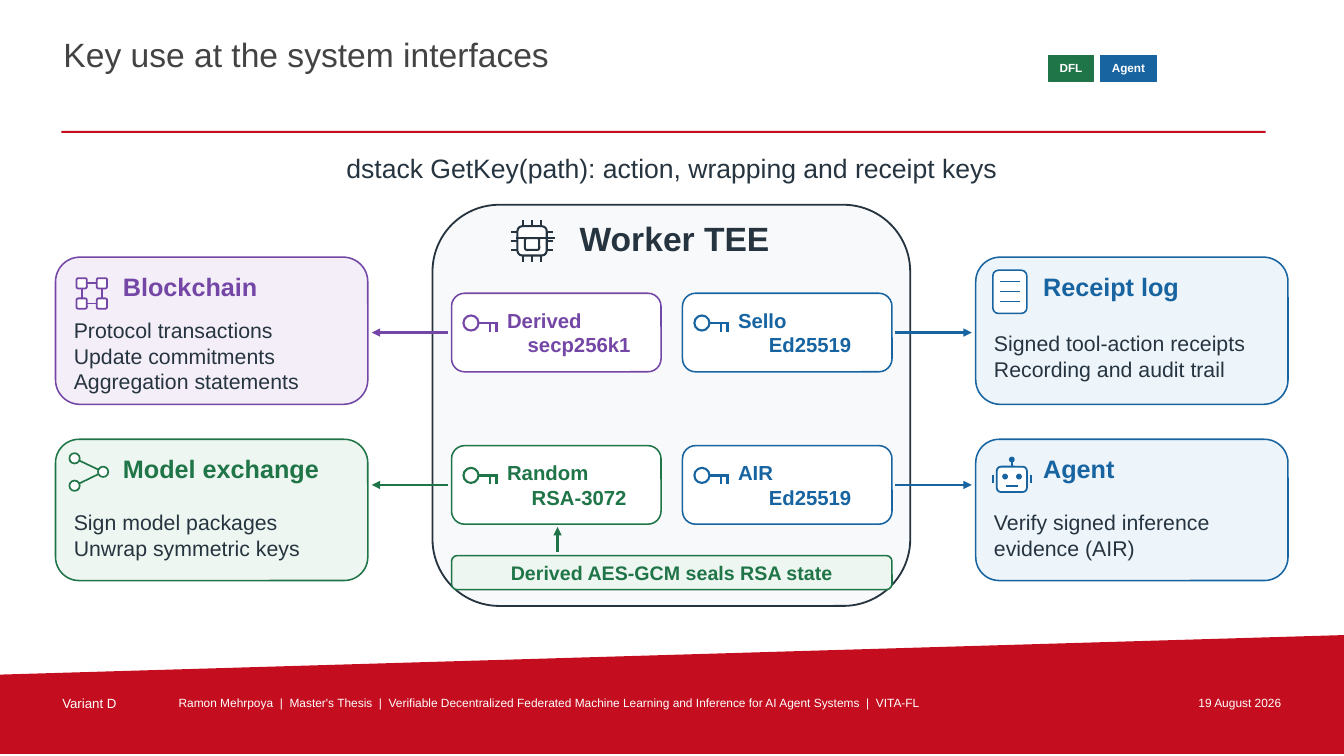
"""Build the slide on key use at the system interfaces of the worker TEE."""
from dataclasses import dataclass
from math import cos, pi, sin
from typing import Callable, Optional

from lxml import etree
from pptx import Presentation
from pptx import util as u
from pptx.dml.color import RGBColor
from pptx.enum import shapes, text
from pptx.oxml.ns import qn

COLOURS = {
    "red": "C40D1E", "title": "434343", "ink": "263440", "white": "FFFFFF", "panel": "F8F9FA",
    "purple": "7446A6", "green": "207548", "blue": "1764A1",
    "pale purple": "F3EEF8", "pale green": "EDF6F0", "pale blue": "EDF4FA",
}
RECTANGLE = shapes.MSO_SHAPE.RECTANGLE
ROUNDED = shapes.MSO_SHAPE.ROUNDED_RECTANGLE
OVAL = shapes.MSO_SHAPE.OVAL
LEFT, CENTER, RIGHT = text.PP_ALIGN.LEFT, text.PP_ALIGN.CENTER, text.PP_ALIGN.RIGHT
TOP, MIDDLE = text.MSO_ANCHOR.TOP, text.MSO_ANCHOR.MIDDLE
SLIDE_WIDTH, SLIDE_HEIGHT = 33.87, 19.05
CARD_WIDTH, KEY_WIDTH, KEY_HEIGHT = 7.87, 5.28, 1.98
LEFT_CARD, RIGHT_CARD = 1.4, 24.59
LEFT_KEY, RIGHT_KEY = 11.38, 17.2

presentation = Presentation()
presentation.slide_width, presentation.slide_height = u.Cm(SLIDE_WIDTH), u.Cm(SLIDE_HEIGHT)
slide = presentation.slides.add_slide(presentation.slide_layouts[6])


@dataclass(frozen=True)
class Label:
    x: float
    y: float
    width: float
    height: float
    wording: str
    size: float
    colour: str
    bold: bool = False
    aligns: tuple = (LEFT,)
    anchor: text.MSO_ANCHOR = MIDDLE
    margin: float = 0


@dataclass(frozen=True)
class Card:
    x: float
    y: float
    height: float
    colour: str
    heading: str
    body: str
    draw_icon: Callable[[float, float, str], None]


@dataclass(frozen=True)
class Key:
    x: float
    y: float
    colour: str
    wording: str


def rgb(name: str) -> RGBColor:
    return RGBColor.from_string(COLOURS[name])


def style(shape, fill: Optional[str], line: Optional[str], weight: float) -> None:
    shape.shadow.inherit = False
    if fill:
        shape.fill.solid()
        shape.fill.fore_color.rgb = rgb(fill)
    else:
        shape.fill.background()
    if line:
        shape.line.color.rgb = rgb(line)
        shape.line.width = u.Pt(weight)
    else:
        shape.line.fill.background()


def add_box(kind: shapes.MSO_SHAPE, x: float, y: float, width: float, height: float,
            fill: Optional[str], line: Optional[str] = None, weight: float = 1.1):
    shape = slide.shapes.add_shape(kind, u.Cm(x), u.Cm(y), u.Cm(width), u.Cm(height))
    style(shape, fill, line, weight)
    return shape


def add_dot(x: float, y: float, diameter: float, fill: str, line: str, weight: float) -> None:
    add_box(OVAL, x - diameter / 2, y - diameter / 2, diameter, diameter, fill, line, weight)


def add_line(x1: float, y1: float, x2: float, y2: float, colour: str, weight: float,
             arrow: bool = False) -> None:
    connector = slide.shapes.add_connector(
        shapes.MSO_CONNECTOR.STRAIGHT, u.Cm(x1), u.Cm(y1), u.Cm(x2), u.Cm(y2))
    connector.line.color.rgb = rgb(colour)
    connector.line.width = u.Pt(weight)
    if arrow:
        etree.SubElement(connector.line._get_or_add_ln(), qn("a:tailEnd"), type="triangle")
    etree.SubElement(connector._element.spPr, qn("a:effectLst"))


def add_outline(points: list[tuple[float, float]], fill: Optional[str], line: Optional[str],
                weight: float = 1, close: bool = True) -> None:
    builder = slide.shapes.build_freeform(*points[0], scale=u.Cm(1))
    builder.add_line_segments(points[1:], close=close)
    style(builder.convert_to_shape(), fill, line, weight)


def write(shape, label: Label) -> None:
    frame = shape.text_frame
    frame.word_wrap = True
    frame.vertical_anchor = label.anchor
    frame.margin_left = frame.margin_right = u.Cm(label.margin)
    frame.margin_top = frame.margin_bottom = u.Cm(label.margin)
    frame.text = label.wording
    for index, paragraph in enumerate(frame.paragraphs):
        paragraph.alignment = label.aligns[min(index, len(label.aligns) - 1)]
        paragraph.font.name = "Arial"
        paragraph.font.size = u.Pt(label.size)
        paragraph.font.bold = label.bold
        paragraph.font.color.rgb = rgb(label.colour)


def add_label(label: Label) -> None:
    box = slide.shapes.add_textbox(
        u.Cm(label.x), u.Cm(label.y), u.Cm(label.width), u.Cm(label.height))
    write(box, label)


def add_filled_label(kind: shapes.MSO_SHAPE, fill: str, line: str, weight: float,
                     label: Label) -> None:
    write(add_box(kind, label.x, label.y, label.width, label.height, fill, line, weight), label)


def draw_chip(x: float, y: float, colour: str) -> None:
    for offset in (-0.23, 0, 0.23):
        for inner, outer in ((-0.37, -0.52), (0.37, 0.52)):
            add_line(x + offset, y + inner, x + offset, y + outer, colour, 1.47)
            add_line(x + inner, y + offset, x + outer, y + offset, colour, 1.47)
    add_box(ROUNDED, x - 0.37, y - 0.37, 0.74, 0.74, "white", colour, 1.47)
    arc = [(x - 0.15 * cos(pi * step / 10), y - 0.14 - 0.15 * sin(pi * step / 10))
           for step in range(11)]
    add_outline([(x - 0.15, y - 0.02), *arc, (x + 0.15, y - 0.02)], None, colour, 1.15, False)
    add_box(ROUNDED, x - 0.18, y - 0.07, 0.36, 0.3, "white", colour, 1.47)


def draw_blocks(x: float, y: float, colour: str) -> None:
    add_box(RECTANGLE, x + 0.66, y + 0.66, 0.51, 0.51, None, colour, 1.28)
    for top in (0.53, 1.04):
        for left in (0.53, 1.04):
            add_box(ROUNDED, x + left, y + top, 0.26, 0.26, "white", colour, 1.28)


def draw_network(x: float, y: float, colour: str) -> None:
    hub, *peers = nodes = [(x + 1.2, y + 0.82), (x + 0.48, y + 0.48), (x + 0.48, y + 1.17)]
    for peer in peers:
        add_line(*peer, *hub, colour, 1.2)
    for node in nodes:
        add_dot(*node, 0.26, "white", colour, 1.2)


def draw_sheet(x: float, y: float, colour: str) -> None:
    add_box(ROUNDED, x + 0.43, y + 0.33, 0.86, 1.09, "white", colour)
    for row in range(3):
        height = y + 0.61 + row * 0.25
        add_line(x + 0.61, height, x + 1.12, height, colour, 1)


def draw_robot(x: float, y: float, colour: str) -> None:
    add_line(x + 0.91, y + 0.53, x + 0.91, y + 0.69, colour, 1.28)
    add_box(ROUNDED, x + 0.53, y + 0.69, 0.76, 0.64, "white", colour, 1.28)
    for ear in (0.43, 1.4):
        add_line(x + ear, y + 0.89, x + ear, y + 1.09, colour, 1.28)
    for dot_x, dot_y in ((0.91, 0.51), (0.74, 0.94), (1.09, 0.94)):
        add_dot(x + dot_x, y + dot_y, 0.1, colour, colour, 1.28)
    add_line(x + 0.76, y + 1.17, x + 1.07, y + 1.17, colour, 1.28)


def draw_card(card: Card) -> None:
    add_box(ROUNDED, card.x, card.y, CARD_WIDTH, card.height, f"pale {card.colour}", card.colour)
    card.draw_icon(card.x, card.y, card.colour)
    add_label(Label(card.x + 1.7, card.y + 0.3, 5.84, 0.86, card.heading, 18, card.colour, True))
    add_label(Label(card.x + 0.46, card.y + 1.5, 6.96, card.height - 1.73, card.body, 15.2, "ink"))


def draw_key(key: Key) -> None:
    add_box(ROUNDED, key.x, key.y, KEY_WIDTH, KEY_HEIGHT, "white", key.colour)
    shaft = key.y + 0.75
    add_dot(key.x + 0.49, shaft, 0.38, "white", key.colour, 1.5)
    add_line(key.x + 0.69, shaft, key.x + 1.17, shaft, key.colour, 2)
    for tooth in (0.97, 1.14):
        add_line(key.x + tooth, shaft, key.x + tooth, shaft + 0.22, key.colour, 2)
    add_label(Label(key.x + 1.4, key.y + 0.25, 3.63, 1.47, key.wording, 14.5, key.colour, True,
                    (LEFT, CENTER)))
    start, end = ((key.x - 0.08, LEFT_CARD + CARD_WIDTH + 0.1) if key.x == LEFT_KEY
                  else (key.x + KEY_WIDTH + 0.08, RIGHT_CARD - 0.1))
    middle = key.y + KEY_HEIGHT / 2
    add_line(start, middle, end, middle, key.colour, 1.8, True)


FOOTER = ("Ramon Mehrpoya  |  Master's Thesis  |  Verifiable Decentralized Federated Machine "
          "Learning and Inference for AI Agent Systems  |  VITA-FL")
LABELS = [
    Label(1.55, 0.81, 24.5, 1.57, "Key use at the system interfaces", 24, "title",
          anchor=TOP, margin=0.05),
    Label(1.52, 17.48, 2.54, 0.56, "Variant D", 9.5, "white", anchor=TOP, margin=0.05),
    Label(4.45, 17.48, 23.75, 0.56, FOOTER, 8.5, "white", anchor=TOP, margin=0.05),
    Label(28.45, 17.48, 3.89, 0.56, "19 August 2026", 8.5, "white", False, (RIGHT,), TOP, 0.05),
    Label(1.65, 3.78, 30.56, 0.91, "dstack GetKey(path): action, wrapping and receipt keys",
          19, "ink", aligns=(CENTER,)),
]
CARDS = [
    Card(LEFT_CARD, 6.48, 3.71, "purple", "Blockchain",
         "Protocol transactions\nUpdate commitments\nAggregation statements", draw_blocks),
    Card(LEFT_CARD, 11.07, 3.56, "green", "Model exchange",
         "Sign model packages\nUnwrap symmetric keys", draw_network),
    Card(RIGHT_CARD, 6.48, 3.71, "blue", "Receipt log",
         "Signed tool-action receipts\nRecording and audit trail", draw_sheet),
    Card(RIGHT_CARD, 11.07, 3.56, "blue", "Agent",
         "Verify signed inference evidence (AIR)", draw_robot),
]
KEYS = [
    Key(LEFT_KEY, 7.39, "purple", "Derived\nsecp256k1"),
    Key(RIGHT_KEY, 7.39, "blue", "Sello\nEd25519"),
    Key(LEFT_KEY, 11.23, "green", "Random\nRSA-3072"),
    Key(RIGHT_KEY, 11.23, "blue", "AIR\nEd25519"),
]


def main() -> None:
    add_outline([(0, 17.15), (SLIDE_WIDTH, 15.98), (SLIDE_WIDTH, SLIDE_HEIGHT),
                 (0, SLIDE_HEIGHT)], "red", None)
    add_box(RECTANGLE, 1.55, 3.3, 30.35, 0.05, "red")
    for label in LABELS:
        add_label(label)
    for x, width, wording, colour in ((26.42, 1.14, "DFL", "green"), (27.74, 1.4, "Agent", "blue")):
        add_filled_label(RECTANGLE, colour, colour, 0.55, Label(
            x, 1.4, width, 0.64, wording, 8.4, "white", True, (CENTER,)))
    add_box(ROUNDED, 10.9, 5.16, 12.04, 10.11, "panel", "ink", 1.3)
    draw_chip(13.41, 6.07, "ink")
    add_label(Label(14.17, 5.44, 5.66, 1.12, "Worker TEE", 24, "ink", True, (CENTER,)))
    for card in CARDS:
        draw_card(card)
    for key in KEYS:
        draw_key(key)
    add_filled_label(ROUNDED, "pale green", "green", 1.1, Label(
        LEFT_KEY, 14, 11.1, 0.86, "Derived AES-GCM seals RSA state", 14, "green", True, (CENTER,)))
    add_line(14.05, 13.92, 14.05, 13.28, "green", 1.5, True)
    presentation.save("out.pptx")


if __name__ == "__main__":
    main()
